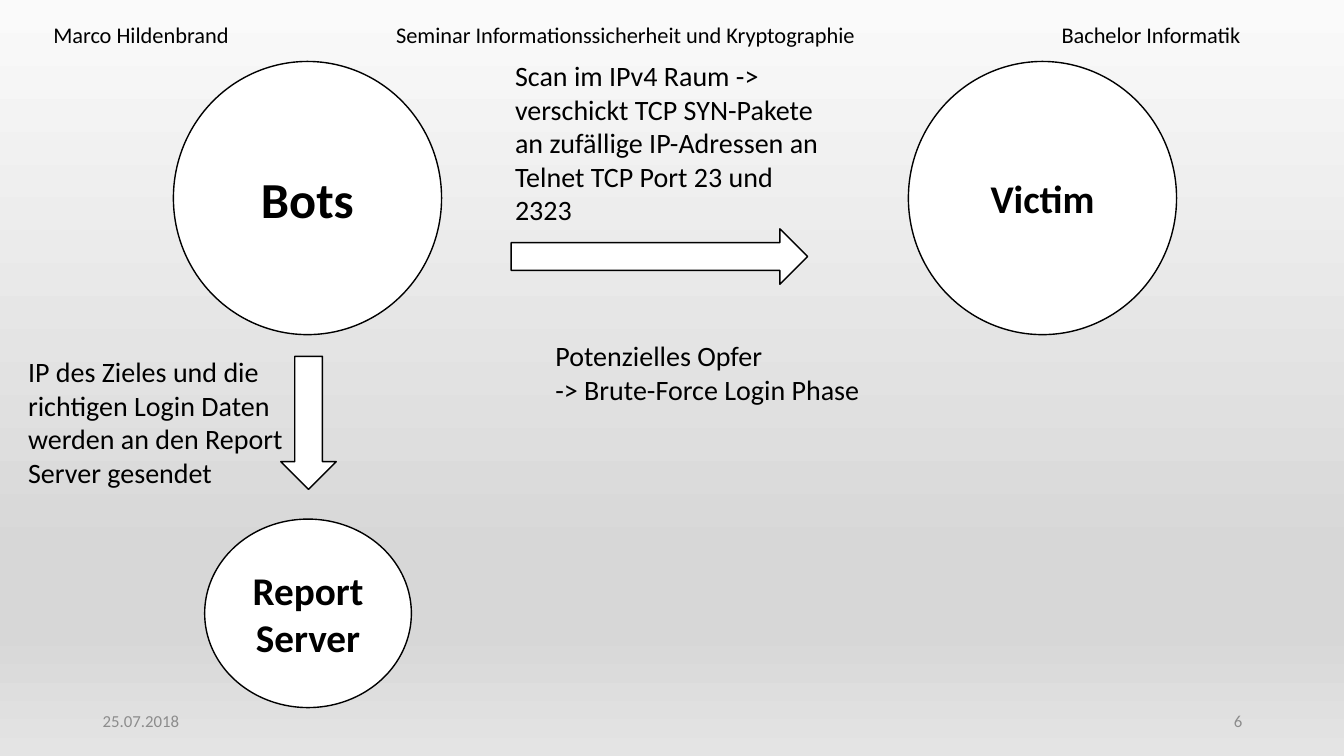
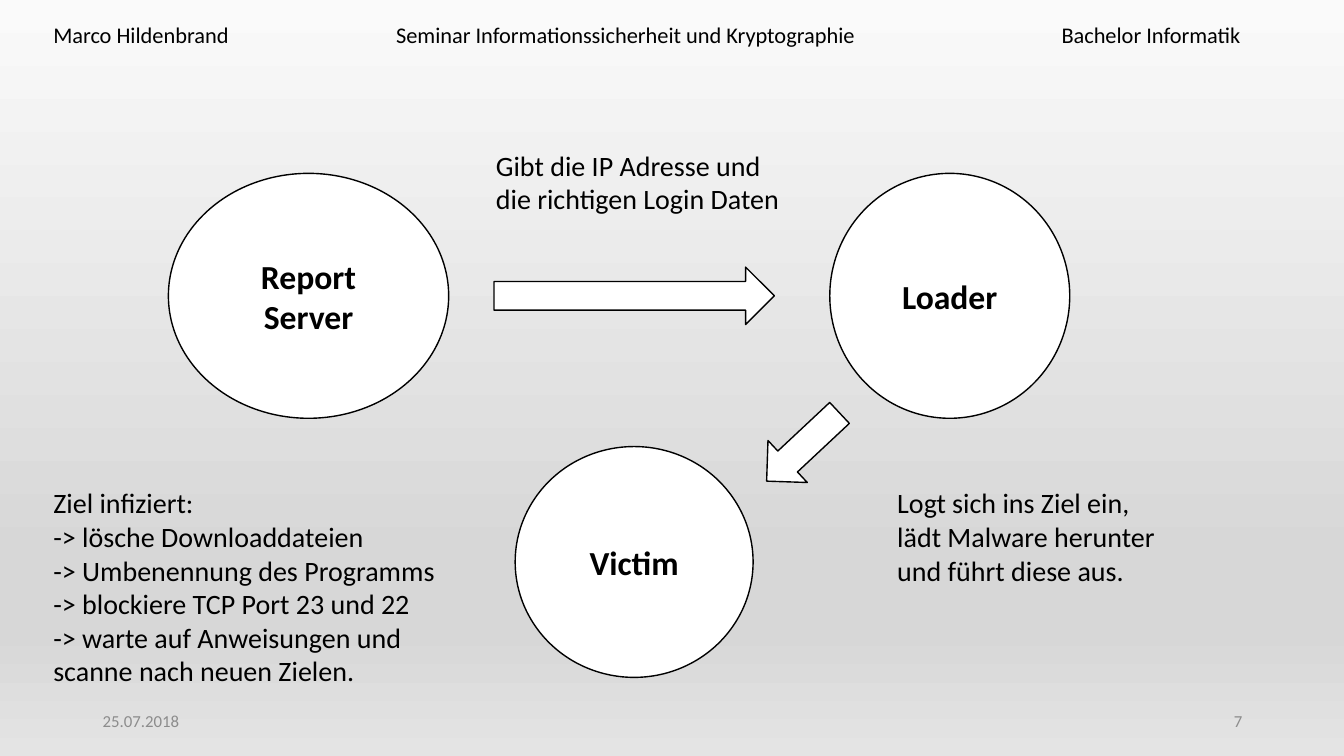
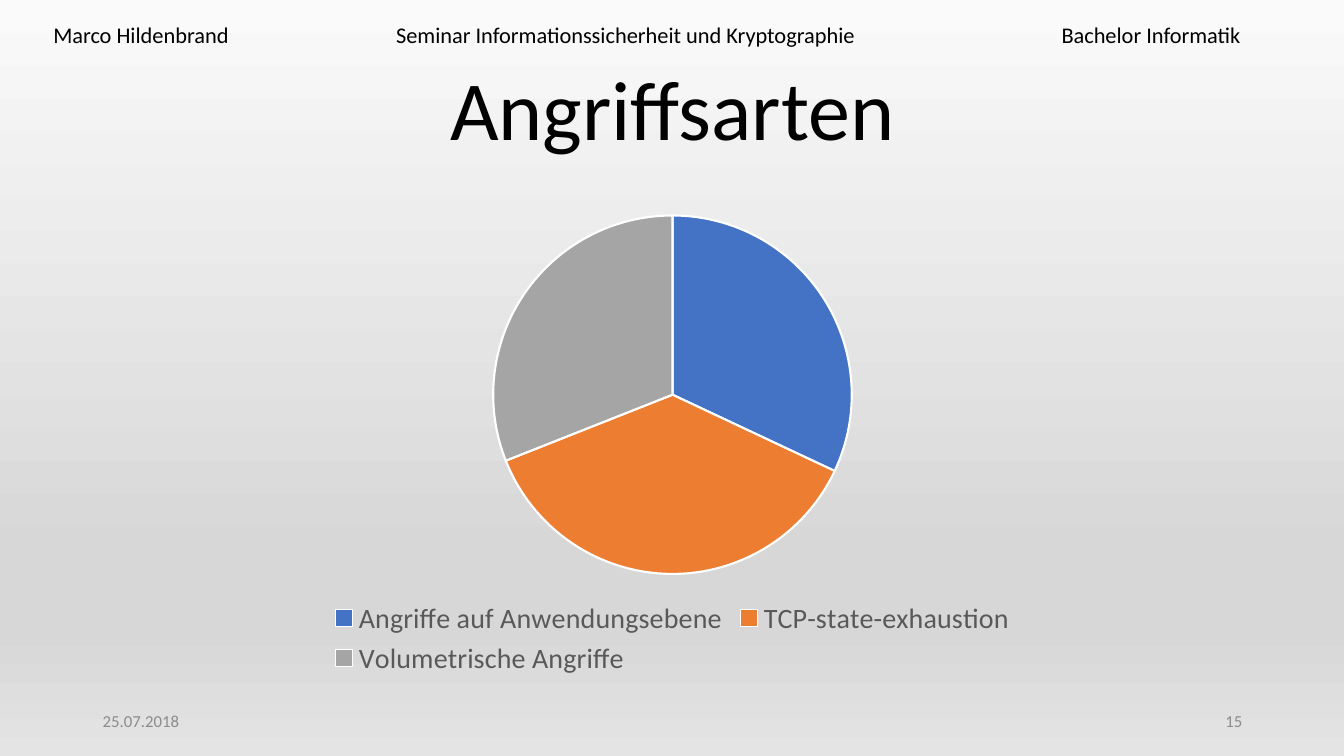
from dataclasses import dataclass

from lxml import etree
from pptx import Presentation
from pptx.chart.data import CategoryChartData
from pptx.dml.color import RGBColor
from pptx.enum.chart import XL_CHART_TYPE, XL_LEGEND_POSITION
from pptx.enum.shapes import MSO_SHAPE
from pptx.enum.text import MSO_ANCHOR, PP_ALIGN
from pptx.oxml.ns import qn
from pptx.presentation import Presentation as Deck
from pptx.slide import Slide
from pptx.text.text import TextFrame
from pptx.util import Inches, Pt

PIE = XL_CHART_TYPE.PIE
BELOW = XL_LEGEND_POSITION.BOTTOM
OVAL, ARROW = MSO_SHAPE.OVAL, MSO_SHAPE.RIGHT_ARROW
TOP, MIDDLE = MSO_ANCHOR.TOP, MSO_ANCHOR.MIDDLE
LEFT, CENTER, RIGHT = PP_ALIGN.LEFT, PP_ALIGN.CENTER, PP_ALIGN.RIGHT


@dataclass(frozen=True)
class Theme:
    """Colours, font and type sizes of the deck."""
    font: str = "Calibri"
    ink: str = "000000"
    paper: str = "FFFFFF"
    muted: str = "8C8C8C"
    label: str = "595959"
    slices: tuple[str, ...] = ("4472C4", "ED7D31", "A5A5A5")
    shade: tuple[tuple[int, str], ...] = (
        (0, "FAFAFA"), (74, "D7D7D7"), (83, "D7D7D7"), (100, "E4E4E4"))
    title: int = 60
    body: int = 20
    header: int = 16
    footer: int = 12
    chart: int = 10


THEME = Theme()
DATE = "25.07.2018"
HEADER = ("Marco Hildenbrand",
          "Seminar Informationssicherheit und Kryptographie",
          "Bachelor Informatik")
TABS = (3.4, 10)


@dataclass(frozen=True)
class Box:
    """Place and size in inches."""
    left: float
    top: float
    width: float
    height: float

    def emu(self) -> tuple[Inches, Inches, Inches, Inches]:
        """Return the box as lengths."""
        return (Inches(self.left), Inches(self.top),
                Inches(self.width), Inches(self.height))


@dataclass(frozen=True)
class Node:
    """A labelled circle."""
    box: Box
    text: str
    size: int


@dataclass(frozen=True)
class Arrow:
    """A block arrow turned by some degrees."""
    box: Box
    turn: float = 0


@dataclass(frozen=True)
class Note:
    """A text block with one paragraph per line."""
    box: Box
    lines: tuple[str, ...]


@dataclass(frozen=True)
class Scene:
    """A diagram slide."""
    number: int
    nodes: tuple[Node, ...]
    arrows: tuple[Arrow, ...]
    notes: tuple[Note, ...]


SCENES = (
    Scene(
        6,
        (Node(Box(1.72, 0.61, 2.66, 2.71), "Bots", 36),
         Node(Box(9.01, 0.61, 2.66, 2.71), "Victim", 28),
         Node(Box(2.03, 5.15, 2.05, 1.87), "Report Server", 28)),
        (Arrow(Box(5.07, 2.27, 2.94, 0.55)),
         Arrow(Box(2.4, 3.92, 1.32, 0.55), 90)),
        (Note(Box(5.01, 0.53, 3.32, 1.78),
              ("Scan im IPv4 Raum -> verschickt TCP SYN-Pakete an zufällige "
               "IP-Adressen an Telnet TCP Port 23 und 2323",)),
         Note(Box(5.41, 3.31, 4.26, 1.11),
              ("Potenzielles Opfer", "-> Brute-Force Login Phase")),
         Note(Box(0.18, 3.47, 2.94, 1.45),
              ("IP des Zieles und die richtigen Login Daten werden an den "
               "Report Server gesendet",))),
    ),
    Scene(
        7,
        (Node(Box(1.67, 1.72, 2.78, 2.43), "Report Server", 24),
         Node(Box(8.23, 1.72, 2.38, 2.43), "Loader", 24),
         Node(Box(5.11, 4.43, 2.36, 2.29), "Victim", 24)),
        (Arrow(Box(4.9, 2.65, 2.78, 0.57)),
         Arrow(Box(7.47, 4.15, 0.99, 0.57), 136.9)),
        (Note(Box(4.82, 1.42, 3.13, 0.77),
              ("Gibt die IP Adresse und die richtigen Login Daten",)),
         Note(Box(8.8, 4.77, 3.19, 1.11),
              ("Logt sich ins Ziel ein,",
               "lädt Malware herunter und führt diese aus.")),
         Note(Box(0.43, 4.77, 4.29, 2.12),
              ("Ziel infiziert:",
               "-> lösche Downloaddateien",
               "-> Umbenennung des Programms",
               "-> blockiere TCP Port 23 und 22",
               "-> warte auf Anweisungen und scanne nach neuen Zielen."))),
    ),
)

SHARES = {"Angriffe auf Anwendungsebene": 32,
          "TCP-state-exhaustion": 37,
          "Volumetrische Angriffe": 31}


def rgb(code: str) -> RGBColor:
    """Turn a hex code into a colour."""
    return RGBColor.from_string(code)


def write(frame: TextFrame, lines: tuple[str, ...], size: int,
          color: str = THEME.ink, align: PP_ALIGN = LEFT,
          anchor: MSO_ANCHOR = TOP, bold: bool = False) -> None:
    """Fill a frame with styled paragraphs."""
    frame.word_wrap = True
    frame.vertical_anchor = anchor
    frame.text = "\n".join(lines)
    for para in frame.paragraphs:
        para.alignment = align
        para.font.name = THEME.font
        para.font.size = Pt(size)
        para.font.bold = bold
        para.font.color.rgb = rgb(color)


def add_text(slide: Slide, box: Box) -> TextFrame:
    """Add a text box and return its frame."""
    return slide.shapes.add_textbox(*box.emu()).text_frame


def add_form(slide: Slide, kind: MSO_SHAPE, box: Box, turn: float = 0) -> TextFrame:
    """Add a white outlined shape and return its frame."""
    form = slide.shapes.add_shape(kind, *box.emu())
    form.rotation = turn
    form.shadow.inherit = False
    form.fill.solid()
    form.fill.fore_color.rgb = rgb(THEME.paper)
    form.line.color.rgb = rgb(THEME.ink)
    form.line.width = Pt(1)
    return form.text_frame


def add_shade(deck: Deck) -> None:
    """Give the master its gradient background."""
    master = deck.slide_master
    fill = master.background.fill
    fill.gradient()
    fill.gradient_angle = 270
    stops = master.element.find(".//" + qn("a:gsLst"))
    stops.clear()
    for place, color in THEME.shade:
        stop = etree.SubElement(stops, qn("a:gs"), pos=str(place * 1000))
        etree.SubElement(stop, qn("a:srgbClr"), val=color)


def add_header(slide: Slide) -> None:
    """Write the header line on tab stops."""
    frame = add_text(slide, Box(0.43, 0.16, 12.61, 0.37))
    write(frame, ("\t".join(HEADER),), THEME.header)
    props = frame.paragraphs[0]._p.get_or_add_pPr()
    tabs = etree.Element(qn("a:tabLst"))
    for place in TABS:
        etree.SubElement(tabs, qn("a:tab"), pos=str(Inches(place)), algn="l")
    props.find(qn("a:defRPr")).addprevious(tabs)


def add_page(deck: Deck, number: int) -> Slide:
    """Add a slide with header, date and number."""
    slide = deck.slides.add_slide(deck.slide_layouts[6])
    add_header(slide)
    for left, text, align in ((0.92, DATE, LEFT), (9.42, str(number), RIGHT)):
        write(add_text(slide, Box(left, 6.95, 3, 0.4)), (text,),
              THEME.footer, THEME.muted, align, MIDDLE)
    return slide


def add_scene(deck: Deck, scene: Scene) -> None:
    """Draw a diagram slide."""
    slide = add_page(deck, scene.number)
    for node in scene.nodes:
        write(add_form(slide, OVAL, node.box), (node.text,), node.size,
              align=CENTER, anchor=MIDDLE, bold=True)
    for arrow in scene.arrows:
        add_form(slide, ARROW, arrow.box, arrow.turn)
    for note in scene.notes:
        write(add_text(slide, note.box), note.lines, THEME.body)


def add_pie(slide: Slide, box: Box) -> None:
    """Draw the shares as a pie with a legend."""
    data = CategoryChartData()
    data.categories = list(SHARES)
    data.add_series("Series 1", list(SHARES.values()))
    chart = slide.shapes.add_chart(PIE, *box.emu(), data).chart
    chart.has_title = False
    chart.font.name = THEME.font
    chart.font.size = Pt(THEME.chart)
    chart.font.color.rgb = rgb(THEME.ink)
    chart.has_legend = True
    legend = chart.legend
    legend.position = BELOW
    legend.include_in_layout = False
    legend.font.name = THEME.font
    legend.font.size = Pt(THEME.body)
    legend.font.color.rgb = rgb(THEME.label)
    plot = chart.plots[0]
    plot.vary_by_categories = True
    for index, color in enumerate(THEME.slices):
        style = plot.series[0].points[index].format
        style.fill.solid()
        style.fill.fore_color.rgb = rgb(color)
        style.line.color.rgb = rgb(THEME.paper)
        style.line.width = Pt(1.5)


def add_shares(deck: Deck) -> None:
    """Draw the slide on kinds of attack."""
    slide = add_page(deck, 15)
    frame = add_text(slide, Box(0.92, 0.4, 11.5, 1.45))
    write(frame, ("Angriffsarten",), THEME.title, align=CENTER, anchor=MIDDLE)
    frame.paragraphs[0].line_spacing = 0.9
    add_pie(slide, Box(0.92, 2, 11.5, 4.76))


def main() -> None:
    """Build and save the deck."""
    deck = Presentation()
    deck.slide_width = Inches(13.33)
    deck.slide_height = Inches(7.5)
    add_shade(deck)
    for scene in SCENES:
        add_scene(deck, scene)
    add_shares(deck)
    deck.save("out.pptx")


main()
